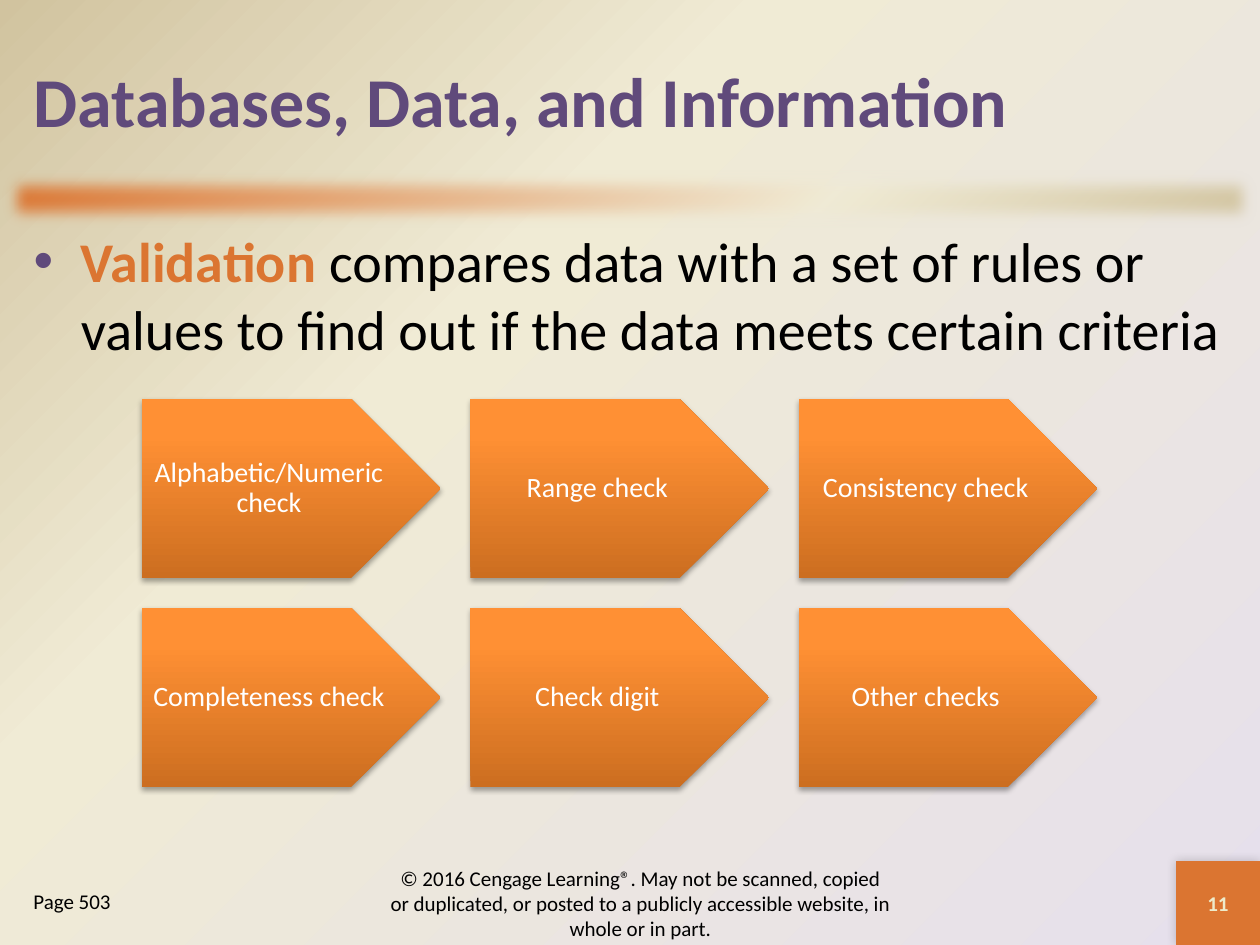
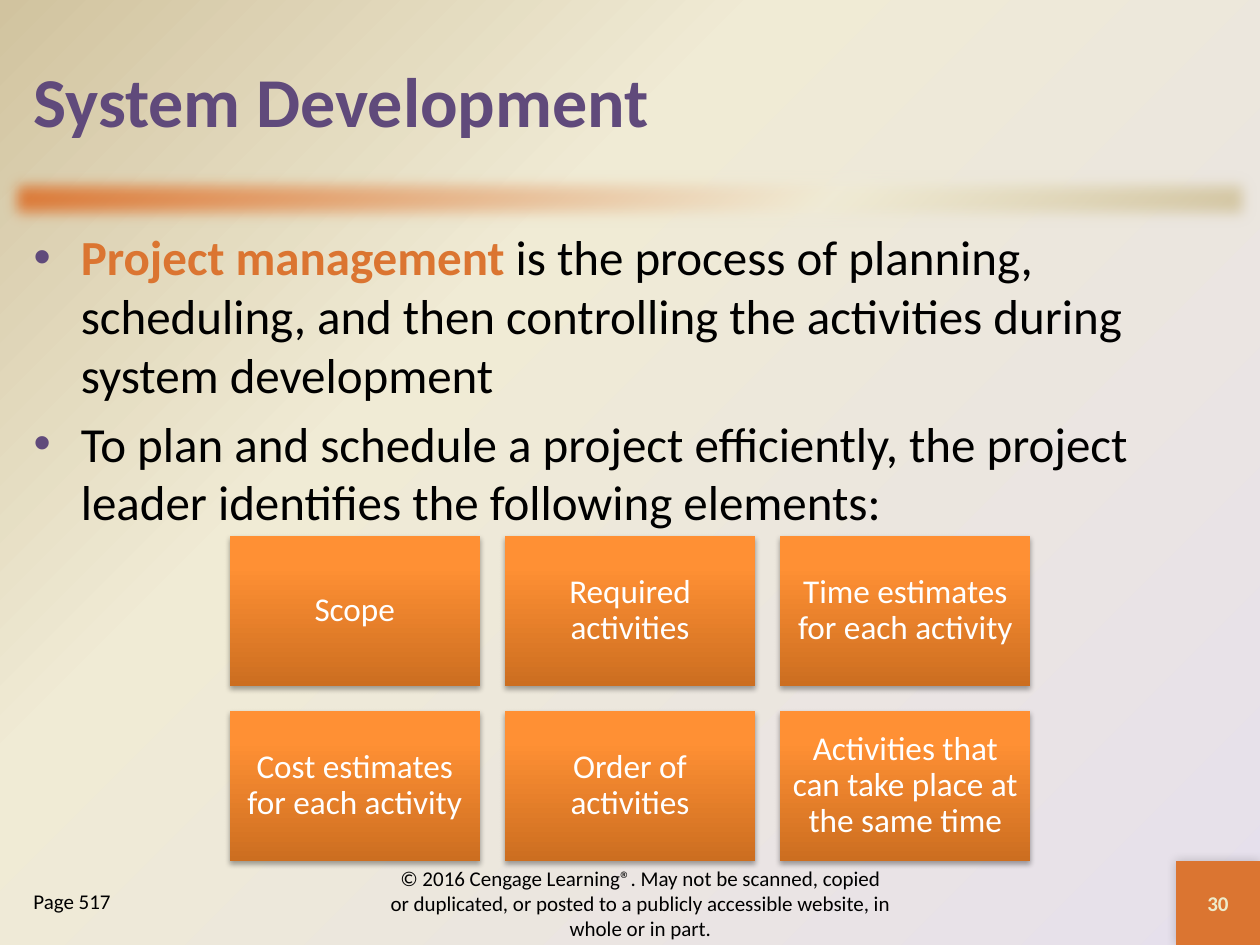
from lxml import etree
from pptx import Presentation
from pptx import util as u
from pptx.dml.color import RGBColor
from pptx.enum import shapes, text
from pptx.oxml import ns

Pt = u.Pt

# Shared style
FONT = "Calibri"
PURPLE = RGBColor(0x60, 0x4A, 0x7B)
ORANGE = RGBColor(0xDB, 0x75, 0x31)
CREAM = RGBColor(0xF0, 0xEB, 0xD5)
TAN = RGBColor(0xD1, 0xC3, 0x9F)
LILAC = RGBColor(0xE6, 0xE0, 0xEC)
NUMBER_CREAM = RGBColor(0xEE, 0xEB, 0xCA)
TILE_DARK = RGBColor(0xCC, 0x6E, 0x20)
TILE_MID = RGBColor(0xFF, 0x90, 0x34)
TILE_LIGHT = RGBColor(0xFF, 0x91, 0x36)
BLACK = RGBColor(0, 0, 0)
WHITE = RGBColor(0xFF, 0xFF, 0xFF)

BACKGROUND_STOPS = [(0, LILAC), (65, CREAM), (100, TAN)]
BAND_STOPS = [(0, ORANGE), (65, CREAM), (100, TAN)]
TILE_STOPS = [(0, TILE_DARK), (80, TILE_MID), (100, TILE_LIGHT)]

SLIDE_SIZE = (720, 540)
TITLE_BOX = (12, 12, 696, 90)
BODY_BOX = (12, 126, 696, 366)
BAND_BOX = (0, 96, 720, 36)
NUMBER_BOX = (672, 492, 48, 48)
FOOTER_BOX = (216, 498, 300, 36)
PAGE_BOX = (12, 504, 132, 36)
BULLET_INDENT = 27
COLUMNS = 3

# Content: each bullet is (key term, rest of sentence)
COPYRIGHT = (
    "© 2016 Cengage Learning®. May not be scanned, copied or duplicated, "
    "or posted to a publicly accessible website, in whole or in part."
)
SLIDES = [
    {
        "title": "Databases, Data, and Information",
        "bullets": [
            ("Validation ", "compares data with a set of rules or values to find out "
                            "if the data meets certain criteria"),
        ],
        "bullet_size": 32,
        "page": "Page 503",
        "number": "11",
        "tiles": ["Alphabetic/Numeric check", "Range check", "Consistency check",
                  "Completeness check", "Check digit", "Other checks"],
        "tile_shape": shapes.MSO_SHAPE.PENTAGON,
        "tile_width": 170.6,
        "tile_origin": (81.2, 228),
        "tile_inset": 4.9,
        "tile_size": 16,
    },
    {
        "title": "System Development",
        "bullets": [
            ("Project management ", "is the process of planning, scheduling, and then "
                                    "controlling the activities during system development"),
            ("", "To plan and schedule a project efficiently, the project leader "
                 "identifies the following elements:"),
        ],
        "bullet_size": 28,
        "page": "Page 517",
        "number": "30",
        "tiles": ["Scope", "Required activities", "Time estimates for each activity",
                  "Cost estimates for each activity", "Order of activities",
                  "Activities that can take place at the same time"],
        "tile_shape": shapes.MSO_SHAPE.RECTANGLE,
        "tile_width": 143,
        "tile_origin": (131.2, 306.2),
        "tile_inset": 5.8,
        "tile_size": 19,
    },
]


# XML helpers
def add_element(parent, tag, **attributes):
    values = {name: str(value) for name, value in attributes.items()}
    return etree.SubElement(parent, ns.qn(tag), values)


def set_gradient(fill, properties, stops, angle=None):
    """Linear at the given angle, or circular from the bottom right corner."""
    fill.background()
    gradient = etree.Element(ns.qn("a:gradFill"), rotWithShape="1")
    stop_list = add_element(gradient, "a:gsLst")
    for position, color in stops:
        stop = add_element(stop_list, "a:gs", pos=position * 1000)
        add_element(stop, "a:srgbClr", val=color)
    if angle is None:
        circle = add_element(gradient, "a:path", path="circle")
        add_element(circle, "a:fillToRect", l=100000, t=100000)
    else:
        add_element(gradient, "a:lin", ang=angle * 60000, scaled=0)
    properties.replace(properties.find(ns.qn("a:noFill")), gradient)


def effect_list(shape):
    shape.shadow.inherit = False
    return shape.element.spPr.find(ns.qn("a:effectLst"))


def set_shadow(shape, opacity, blur, distance, direction):
    shadow = add_element(effect_list(shape), "a:outerShdw", blurRad=Pt(blur),
                         dist=Pt(distance), dir=direction * 60000, rotWithShape=0)
    color = add_element(shadow, "a:srgbClr", val=BLACK)
    add_element(color, "a:alpha", val=opacity * 1000)


def set_bullet(paragraph):
    properties = paragraph._p.get_or_add_pPr()
    properties.set("marL", str(Pt(BULLET_INDENT)))
    properties.set("indent", str(-Pt(BULLET_INDENT)))
    color = add_element(properties, "a:buClr")
    add_element(color, "a:srgbClr", val=PURPLE)
    add_element(properties, "a:buFont", typeface="Arial")
    add_element(properties, "a:buChar", char="•")


# Shape and text helpers
def points(box):
    return [Pt(value) for value in box]


def place(shape, box):
    shape.left, shape.top, shape.width, shape.height = points(box)


def style(paragraph, size, color, bold=False, align=text.PP_ALIGN.LEFT):
    paragraph.alignment = align
    font = paragraph.font
    font.name, font.size, font.bold = FONT, Pt(size), bold
    font.color.rgb = color


def set_frame(frame, anchor, inset=None):
    frame.word_wrap = True
    frame.auto_size = text.MSO_AUTO_SIZE.NONE
    frame.vertical_anchor = anchor
    if inset is not None:
        frame.margin_left = frame.margin_right = Pt(inset)
        frame.margin_top = frame.margin_bottom = Pt(inset)


def add_plain_shape(slide, kind, box):
    shape = slide.shapes.add_shape(kind, *points(box))
    shape.line.fill.background()
    return shape


def add_label(slide, box, wording, color=BLACK, bold=False,
              align=text.PP_ALIGN.CENTER, anchor=text.MSO_ANCHOR.MIDDLE):
    frame = slide.shapes.add_textbox(*points(box)).text_frame
    set_frame(frame, anchor)
    frame.text = wording
    style(frame.paragraphs[0], 12, color, bold, align)


# Slide parts
def add_decoration(slide):
    band = add_plain_shape(slide, shapes.MSO_SHAPE.RECTANGLE, BAND_BOX)
    set_gradient(band.fill, band.element.spPr, BAND_STOPS, 45)
    add_element(effect_list(band), "a:softEdge", rad=Pt(9))

    square = add_plain_shape(slide, shapes.MSO_SHAPE.RECTANGLE, NUMBER_BOX)
    square.fill.solid()
    square.fill.fore_color.rgb = ORANGE
    set_shadow(square, 20, 6, 0, 225)

    # Behind the placeholders
    for shape in (square, band):
        shape.element.getparent().insert(2, shape.element)


def fill_title(slide, wording):
    title = slide.shapes.title
    place(title, TITLE_BOX)
    set_frame(title.text_frame, text.MSO_ANCHOR.MIDDLE)
    title.text_frame.text = wording
    style(title.text_frame.paragraphs[0], 40, PURPLE, bold=True)


def fill_body(slide, bullets, size):
    body = slide.placeholders[1]
    place(body, BODY_BOX)
    frame = body.text_frame
    set_frame(frame, text.MSO_ANCHOR.TOP)
    for index, (term, sentence) in enumerate(bullets):
        paragraph = frame.add_paragraph() if index else frame.paragraphs[0]
        paragraph.space_before = Pt(0.2 * size if index else 0)
        set_bullet(paragraph)
        style(paragraph, size, BLACK)
        if term:
            run = paragraph.add_run()
            run.text = term
            run.font.bold = True
            run.font.color.rgb = ORANGE
        paragraph.add_run().text = sentence


def add_tiles(slide, content):
    left, top = content["tile_origin"]
    width = content["tile_width"]
    height, gap = 0.6 * width, 0.1 * width
    for index, wording in enumerate(content["tiles"]):
        row, column = divmod(index, COLUMNS)
        box = (left + column * (width + gap), top + row * (height + gap), width, height)
        tile = add_plain_shape(slide, content["tile_shape"], box)
        set_gradient(tile.fill, tile.element.spPr, TILE_STOPS, 270)
        set_shadow(tile, 35, 3.1, 1.8, 90)
        frame = tile.text_frame
        set_frame(frame, text.MSO_ANCHOR.MIDDLE, content["tile_inset"])
        frame.text = wording
        paragraph = frame.paragraphs[0]
        paragraph.line_spacing = 0.9
        style(paragraph, content["tile_size"], WHITE, align=text.PP_ALIGN.CENTER)


def add_footer(slide, content):
    add_label(slide, FOOTER_BOX, COPYRIGHT)
    add_label(slide, NUMBER_BOX, content["number"], NUMBER_CREAM, bold=True)
    add_label(slide, PAGE_BOX, content["page"], align=text.PP_ALIGN.LEFT,
              anchor=text.MSO_ANCHOR.TOP)


def main():
    presentation = Presentation()
    presentation.slide_width, presentation.slide_height = points(SLIDE_SIZE)

    # Background for every slide
    master = presentation.slide_master
    fill = master.background.fill
    properties = master.element.find(".//" + ns.qn("p:bgPr"))
    set_gradient(fill, properties, BACKGROUND_STOPS)

    for content in SLIDES:
        slide = presentation.slides.add_slide(presentation.slide_layouts[1])
        add_decoration(slide)
        fill_title(slide, content["title"])
        fill_body(slide, content["bullets"], content["bullet_size"])
        add_footer(slide, content)
        add_tiles(slide, content)

    presentation.save("out.pptx")


if __name__ == "__main__":
    main()
